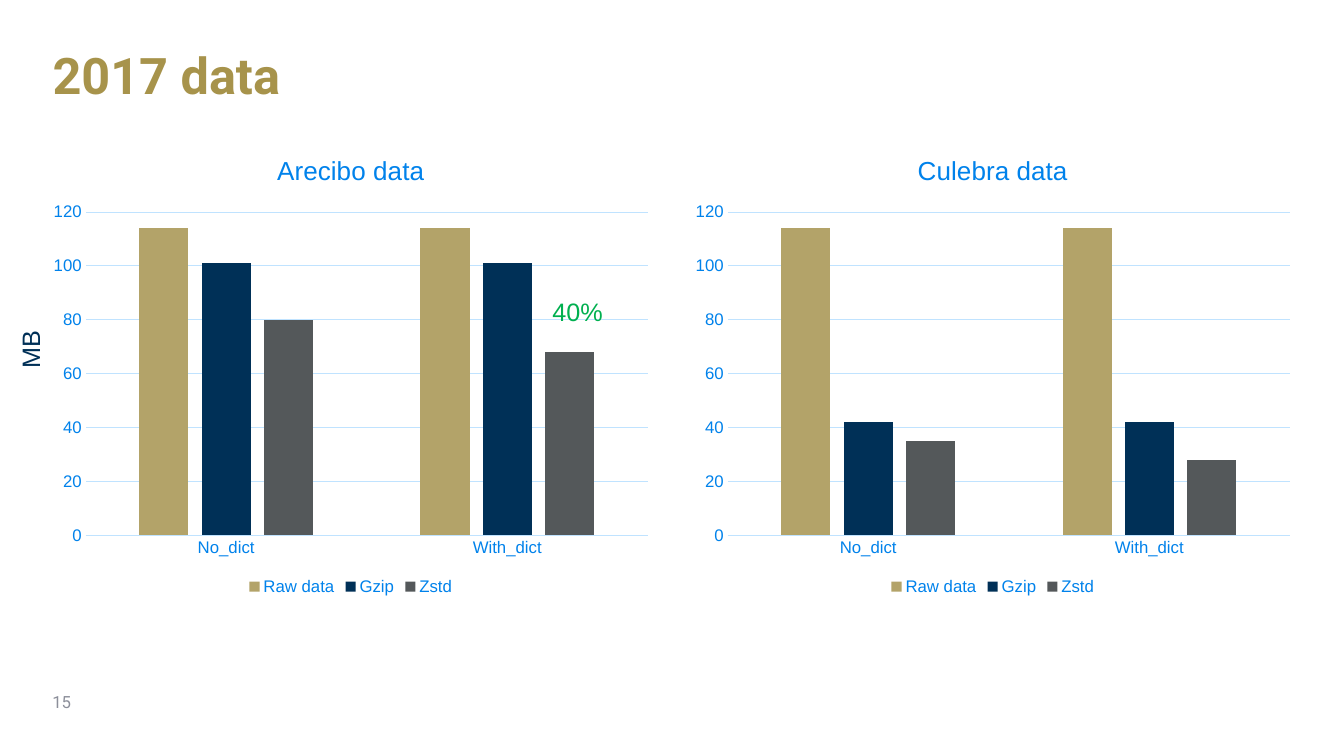
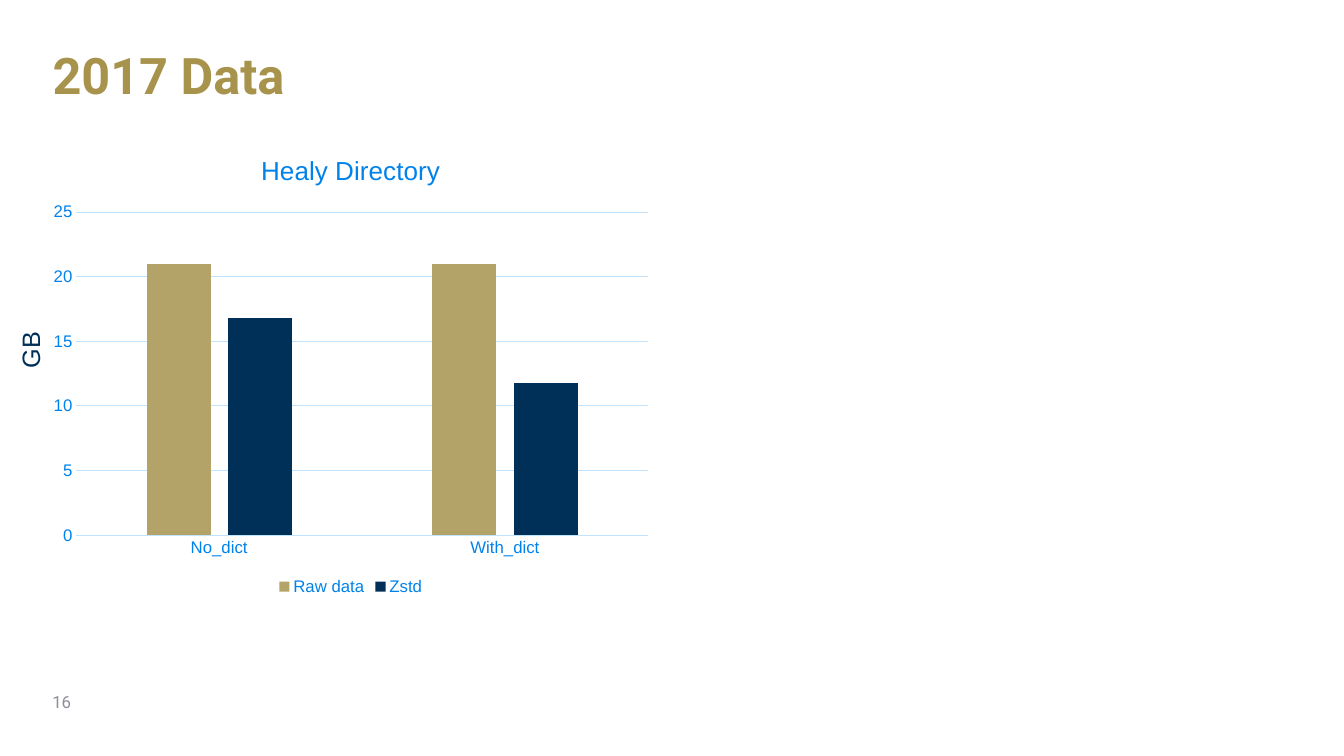
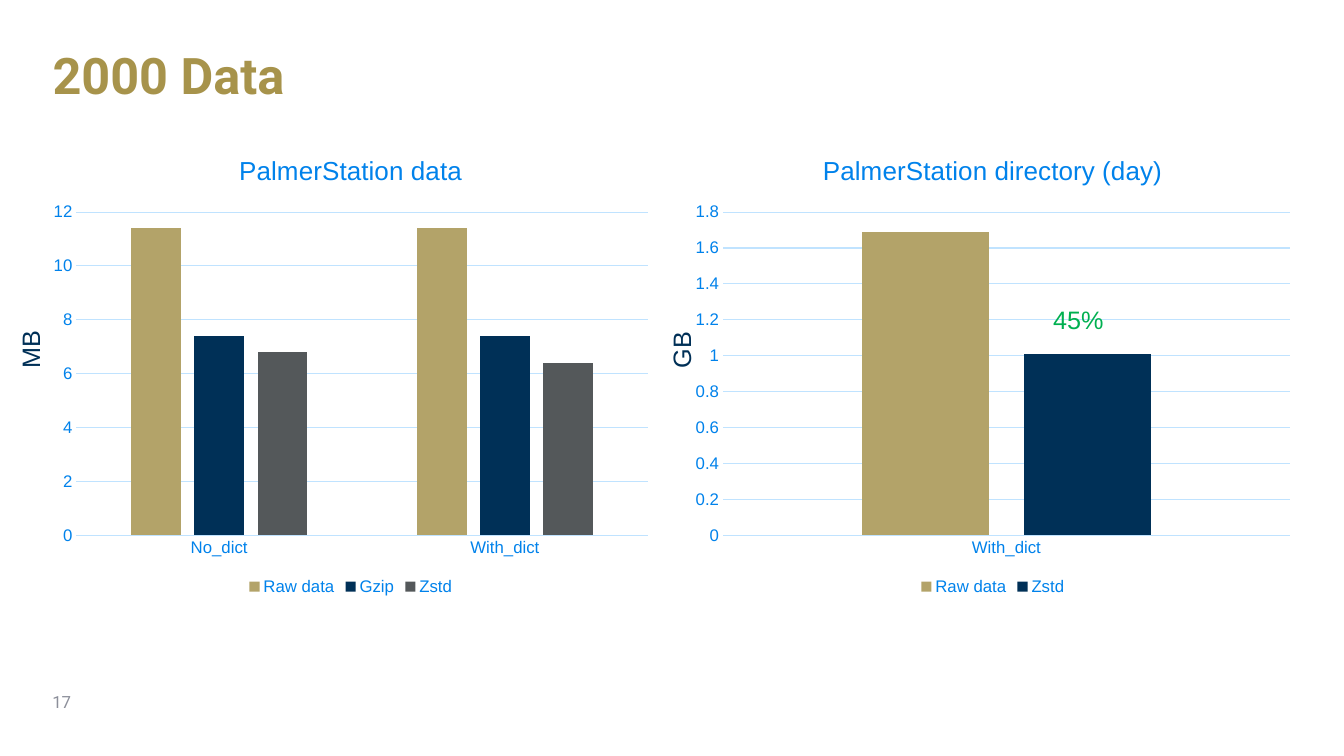
import pptx
import pptx.chart.data
import pptx.dml.color
import pptx.enum.chart
import pptx.enum.text
import pptx.util

Cm = pptx.util.Cm
Pt = pptx.util.Pt


def color(hex_string):
    return pptx.dml.color.RGBColor.from_string(hex_string)


class Deck:
    """Holds the shared style and the current slide."""

    GOLD, NAVY, GRAY = "B3A369", "003057", "54585A"
    SERIES_COLORS = (GOLD, NAVY, GRAY)
    GRID = "C0E3FF"

    TITLE_FONT = {"name": "Roboto", "size": Pt(36), "bold": True, "color": "A7934B"}
    NUMBER_FONT = {"name": "Roboto", "size": Pt(12), "color": "8C8F9A"}
    UNIT_FONT = {"name": "Arial", "size": Pt(18), "color": NAVY}
    SAVING_FONT = {"name": "Arial", "size": Pt(18), "color": "00B050"}
    CHART_FONT = {"name": "Arial", "size": Pt(10), "color": NAVY}
    CHART_TITLE_FONT = {"name": "Arial", "size": Pt(18.6), "bold": False, "color": "0082EB"}
    AXIS_FONT = {"name": "Arial", "size": Pt(12), "color": "0082EB"}

    # Left edges of the chart and of its unit label
    COLUMNS = {"left": (1.04, -0.23), "right": (17.22, 16.18)}

    def __init__(self, first_number):
        self.presentation = pptx.Presentation()
        self.presentation.slide_width = Cm(33.87)
        self.presentation.slide_height = Cm(19.05)
        self.number = first_number
        self.slide = None

    def format_font(self, font, style):
        for name, value in style.items():
            if name == "color":
                font.color.rgb = color(value)
            else:
                setattr(font, name, value)

    def add_slide(self, title):
        layout = self.presentation.slide_layouts.get_by_name("Title Only")
        self.slide = self.presentation.slides.add_slide(layout)
        shape = self.slide.shapes.title
        shape.left, shape.top = Cm(1.07), Cm(0.56)
        shape.width, shape.height = Cm(31.75), Cm(2.82)
        frame = shape.text_frame
        frame.text = title
        frame.auto_size = pptx.enum.text.MSO_AUTO_SIZE.NONE
        frame.vertical_anchor = pptx.enum.text.MSO_ANCHOR.MIDDLE
        paragraph = frame.paragraphs[0]
        paragraph.alignment = pptx.enum.text.PP_ALIGN.LEFT
        paragraph.line_spacing = 0.9
        self.format_font(paragraph.font, self.TITLE_FONT)
        # Slide number
        number = self.add_text(str(self.number), 1.07, 17.17, 2.54, self.NUMBER_FONT)
        number.text_frame.vertical_anchor = pptx.enum.text.MSO_ANCHOR.MIDDLE
        self.number += 1

    def add_text(self, text, left, top, width, style):
        shape = self.slide.shapes.add_textbox(Cm(left), Cm(top), Cm(width), Cm(1.02))
        shape.text_frame.word_wrap = True
        shape.text_frame.text = text
        self.format_font(shape.text_frame.paragraphs[0].font, style)
        return shape

    def add_saving(self, text, left, top, width):
        self.add_text(text, left, top, width, self.SAVING_FONT)

    def add_chart(self, column, title, categories, series, unit=None):
        chart_left, unit_left = self.COLUMNS[column]
        data = pptx.chart.data.CategoryChartData()
        data.categories = categories
        for name, values in series.items():
            data.add_series(name, values)
        chart = self.slide.shapes.add_chart(
            pptx.enum.chart.XL_CHART_TYPE.COLUMN_CLUSTERED,
            Cm(chart_left), Cm(3.38), Cm(15.6), Cm(11.73), data).chart
        self.format_font(chart.font, self.CHART_FONT)

        # Title and legend
        chart.has_title = True
        chart.chart_title.include_in_layout = False
        chart.chart_title.text_frame.text = title
        self.format_font(chart.chart_title.text_frame.paragraphs[0].runs[0].font,
                         self.CHART_TITLE_FONT)
        chart.has_legend = True
        chart.legend.position = pptx.enum.chart.XL_LEGEND_POSITION.BOTTOM
        chart.legend.include_in_layout = False
        self.format_font(chart.legend.font, self.AXIS_FONT)

        # Axes
        for axis in (chart.category_axis, chart.value_axis):
            axis.major_tick_mark = pptx.enum.chart.XL_TICK_MARK.NONE
            axis.minor_tick_mark = pptx.enum.chart.XL_TICK_MARK.NONE
            self.format_font(axis.tick_labels.font, self.AXIS_FONT)
        chart.value_axis.has_major_gridlines = True
        chart.value_axis.format.line.fill.background()
        for line in (chart.category_axis.format.line,
                     chart.value_axis.major_gridlines.format.line):
            line.color.rgb = color(self.GRID)
            line.width = Pt(0.75)

        # Columns
        plot = chart.plots[0]
        plot.vary_by_categories = False
        plot.gap_width, plot.overlap = 219, -27
        for columns, fill_color in zip(plot.series, self.SERIES_COLORS):
            columns.format.fill.solid()
            columns.format.fill.fore_color.rgb = color(fill_color)

        if unit:
            label = self.add_text(unit, unit_left, 8.03, 1.98, self.UNIT_FONT)
            label.rotation = 270


def main():
    deck = Deck(first_number=15)
    both = ("No_dict", "With_dict")

    # Single files, 2017
    deck.add_slide("2017 data")
    deck.add_chart("left", "Arecibo data", both,
                   {"Raw data": (114, 114), "Gzip": (101, 101), "Zstd": (80, 68)}, "MB")
    deck.add_saving("40%", 13.67, 7.34, 1.93)
    deck.add_chart("right", "Culebra data", both,
                   {"Raw data": (114, 114), "Gzip": (42, 42), "Zstd": (35, 28)})

    # Directory, 2017
    deck.add_slide("2017 Data")
    deck.add_chart("left", "Healy Directory", both,
                   {"Raw data": (21, 21), "Zstd": (16.8, 11.8)}, "GB")

    # File and directory, 2000
    deck.add_slide("2000 Data")
    deck.add_chart("left", "PalmerStation data", both,
                   {"Raw data": (11.4, 11.4), "Gzip": (7.4, 7.4), "Zstd": (6.8, 6.4)}, "MB")
    deck.add_chart("right", "PalmerStation directory (day)", ("With_dict",),
                   {"Raw data": (1.69,), "Zstd": (1.01,)}, "GB")
    deck.add_saving("45%", 26.29, 7.54, 2.46)

    deck.presentation.save("out.pptx")


if __name__ == "__main__":
    main()
